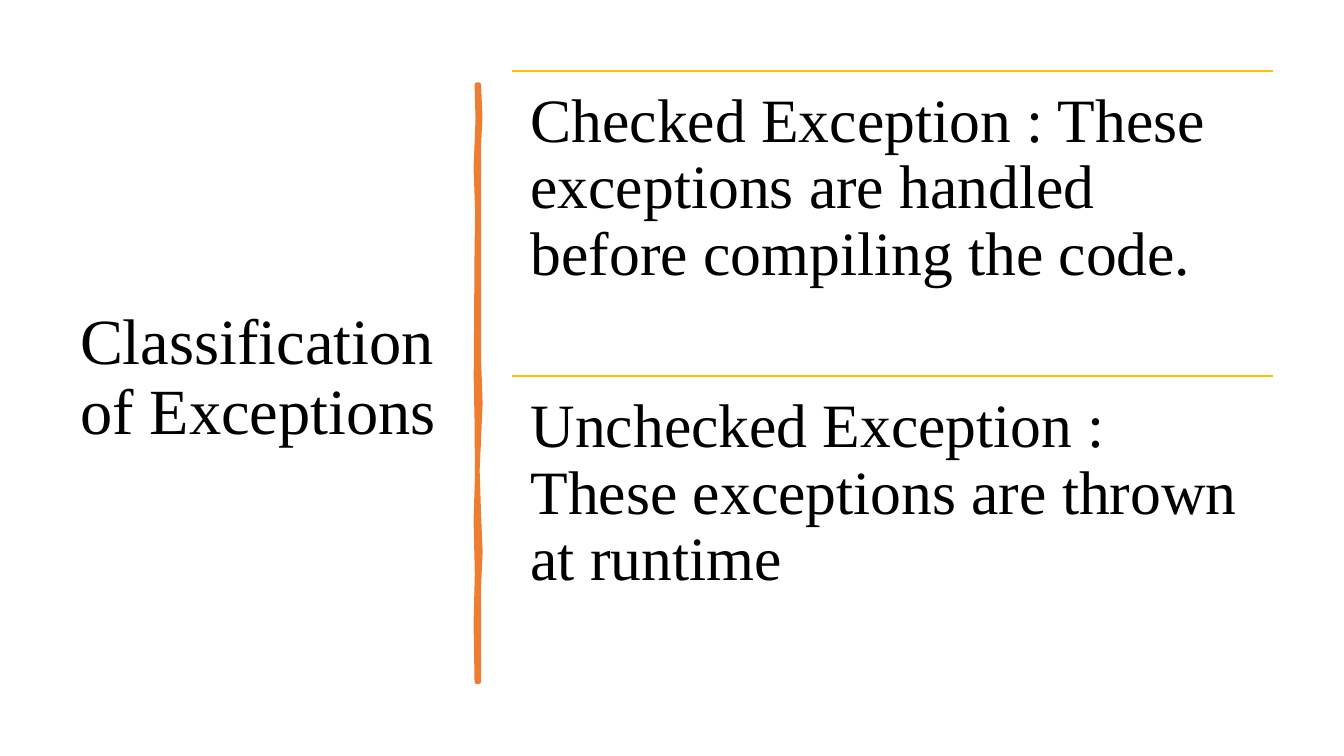
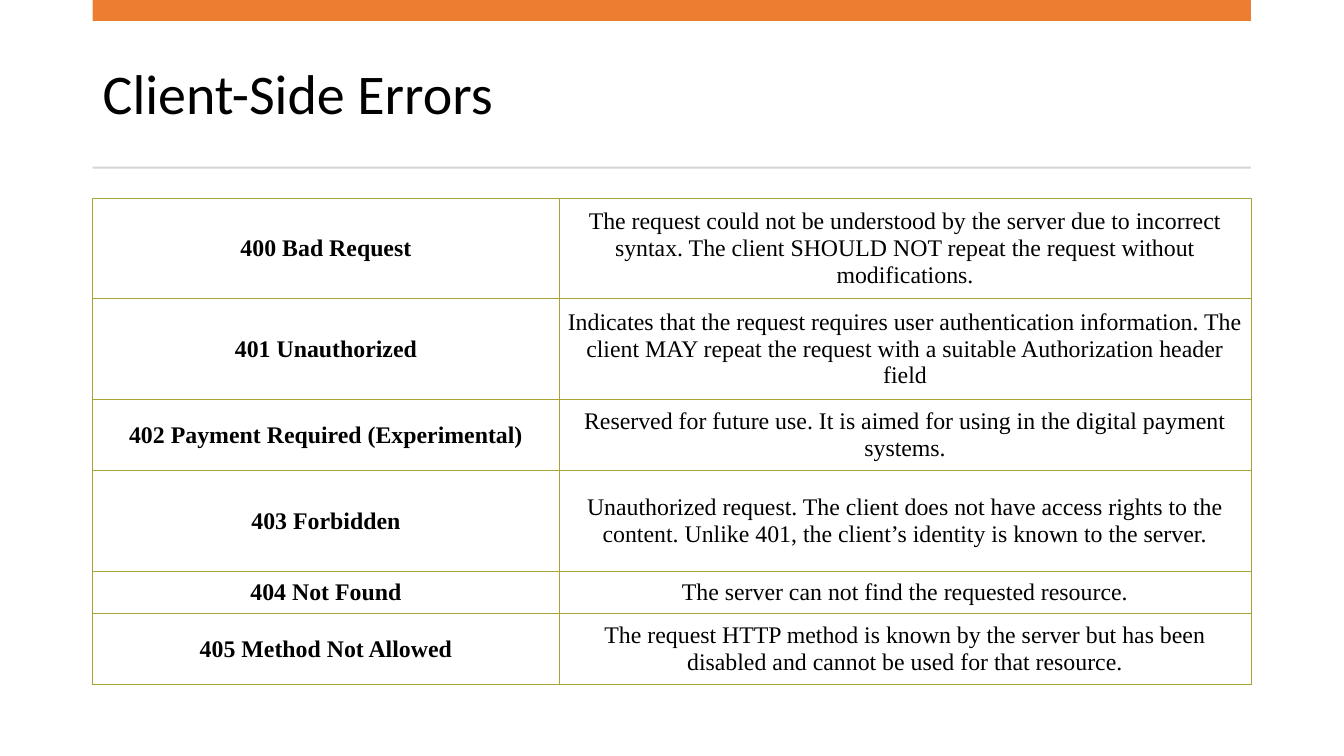
from dataclasses import dataclass

from lxml import etree
from pptx import Presentation
from pptx.dml.color import RGBColor
from pptx.enum import shapes, text
from pptx.oxml import ns
from pptx.util import Pt


@dataclass(frozen=True)
class Theme:
    ink: str = "000000"
    paper: str = "FFFFFF"
    accent: str = "ED7D31"
    gold: str = "FFC000"
    olive: str = "A8A434"
    grey: str = "D5D5D5"
    serif: str = "Times New Roman"
    sans: str = "Calibri"
    section_size: float = 46
    title_size: float = 40
    body_size: float = 44
    table_size: float = 17


THEME = Theme()
TWO_CONTENT, TITLE_ONLY = 3, 5

KINDS = [
    "Checked Exception : These exceptions are handled before compiling the code.",
    "Unchecked Exception : These exceptions are thrown at runtime",
]

# status, meaning, row height
ERRORS = [
    ("400 Bad Request",
     "The request could not be understood by the server due to incorrect syntax. "
     "The client SHOULD NOT repeat the request without modifications.", 71.9),
    ("401 Unauthorized",
     "Indicates that the request requires user authentication information. "
     "The client MAY repeat the request with a suitable Authorization header field", 71.9),
    ("402 Payment Required (Experimental)",
     "Reserved for future use. It is aimed for using in the digital payment systems.", 51),
    ("403 Forbidden",
     "Unauthorized request. The client does not have access rights to the content. "
     "Unlike 401, the client’s identity is known to the server.", 71.9),
    ("404 Not Found", "The server can not find the requested resource.", 30),
    ("405 Method Not Allowed",
     "The request HTTP method is known by the server but has been disabled "
     "and cannot be used for that resource.", 51),
]

# Edges of the hand-drawn rule: (y, offset from its centre line)
RIGHT_EDGE = [(60.5, 0.7), (83, 1.7), (105, 0.7), (212, 0.7), (256, 0.7), (288, 1.8),
              (314, 0.7), (336, -0.3), (367, 0.7), (394, 1.8), (420, 0.7), (487, 0.7)]
LEFT_EDGE = [(60.5, -0.7), (85, 0), (120, -1.4), (150, -0.3), (180, -0.7),
             (270, -1.3), (300, -0.7), (340, -0.4), (372, -1.4),
             (410, -0.5), (445, -1.4), (487, -0.7)]


def rgb(value):
    return RGBColor.from_string(value)


def assign(obj, values):
    for name, value in values.items():
        setattr(obj, name, value)


def place(sp, left, top, width, height):
    assign(sp, dict(left=Pt(left), top=Pt(top), width=Pt(width), height=Pt(height)))


def write(tf, words, size, font, bold=False, **paragraph):
    tf.text = words
    p = tf.paragraphs[0]
    assign(p, paragraph)
    assign(p.runs[0].font, dict(size=Pt(size), name=font, bold=bold))
    p.runs[0].font.color.rgb = rgb(THEME.ink)
    return p


def fill_placeholder(sp, box, words, size, font, anchor, inset=None):
    place(sp, *box)
    tf = sp.text_frame
    assign(tf, dict(word_wrap=True, auto_size=text.MSO_AUTO_SIZE.NONE,
                    vertical_anchor=anchor))
    if inset:
        sides = ("margin_left", "margin_top", "margin_right", "margin_bottom")
        assign(tf, dict.fromkeys(sides, Pt(inset)))
    return write(tf, words, size, font, alignment=text.PP_ALIGN.LEFT,
                 line_spacing=0.9, space_before=Pt(0))


def add_title(s, box, words, size, font):
    fill_placeholder(s.shapes.title, box, words, size, font, text.MSO_ANCHOR.MIDDLE)


def add_statement(sp, box, words):
    """Fill a body placeholder with one unbulleted paragraph."""
    p = fill_placeholder(sp, box, words, THEME.body_size, THEME.serif,
                         text.MSO_ANCHOR.TOP, inset=13)
    props = p._p.get_or_add_pPr()
    props.set("marL", "0")
    props.set("indent", "0")
    etree.SubElement(props, ns.qn("a:buNone"))


def paint(sp, color):
    sp.shadow.inherit = False
    sp.fill.solid()
    sp.fill.fore_color.rgb = rgb(color)


def add_bar(s, left, top, width, height, color):
    sp = s.shapes.add_shape(shapes.MSO_SHAPE.RECTANGLE,
                            Pt(left), Pt(top), Pt(width), Pt(height))
    paint(sp, color)
    sp.line.fill.background()


def add_rule(s, left, top, width):
    line = s.shapes.add_connector(shapes.MSO_CONNECTOR.STRAIGHT,
                                  Pt(left), Pt(top), Pt(left + width), Pt(top))
    line.line.color.rgb = rgb(THEME.gold)
    line.line.width = Pt(1)
    etree.SubElement(line._element.spPr, ns.qn("a:effectLst"))


def add_sketched_rule(s, center):
    outline = [(Pt(center + x), Pt(y)) for y, x in RIGHT_EDGE + LEFT_EDGE[::-1]]
    builder = s.shapes.build_freeform(*outline[0])
    builder.add_line_segments(outline[1:], close=True)
    sp = builder.convert_to_shape()
    paint(sp, THEME.accent)
    sp.line.color.rgb = rgb(THEME.accent)
    sp.line.width = Pt(3.25)


def border_cell(cell, color, width):
    props = cell._tc.get_or_add_tcPr()
    for i, side in enumerate(("lnL", "lnR", "lnT", "lnB")):
        ln = etree.Element(ns.qn(f"a:{side}"), w=str(Pt(width)))
        fill = etree.SubElement(ln, ns.qn("a:solidFill"))
        etree.SubElement(fill, ns.qn("a:srgbClr"), val=color)
        props.insert(i, ln)


def add_error_table(s, left, top, widths):
    height = sum(row[-1] for row in ERRORS)
    table = s.shapes.add_table(len(ERRORS), len(widths), Pt(left), Pt(top),
                               Pt(sum(widths)), Pt(height)).table
    assign(table, dict(first_row=False, horz_banding=False))
    for column, width in zip(table.columns, widths):
        column.width = Pt(width)
    cell_format = dict(margin_left=Pt(4.4), margin_right=Pt(4.4), margin_top=Pt(2.2),
                       margin_bottom=Pt(2.2), vertical_anchor=text.MSO_ANCHOR.MIDDLE)
    for row, (*entries, row_height) in zip(table.rows, ERRORS):
        row.height = Pt(row_height)
        for i, (cell, words) in enumerate(zip(row.cells, entries)):
            assign(cell, cell_format)
            cell.fill.solid()
            cell.fill.fore_color.rgb = rgb(THEME.paper)
            border_cell(cell, THEME.olive, 0.5)
            write(cell.text_frame, words, THEME.table_size, THEME.serif,
                  bold=i == 0, alignment=text.PP_ALIGN.CENTER)


def build_classification(prs):
    s = prs.slides.add_slide(prs.slide_layouts[TWO_CONTENT])
    add_title(s, (50, 50.4, 269.3, 440), "Classification of Exceptions",
              THEME.section_size, THEME.serif)
    add_sketched_rule(s, 341.3)
    left, top, width, height = 366, 50.6, 543.6, 218
    bodies = list(s.placeholders)[1:]
    for i, (sp, words) in enumerate(zip(bodies, KINDS)):
        y = top + i * height
        add_rule(s, left, y, width)
        add_statement(sp, (left, y, width, height), words)


def build_client_errors(prs):
    s = prs.slides.add_slide(prs.slide_layouts[TITLE_ONLY])
    left, width = 66.2, 827.3
    add_title(s, (left, 26.6, width, 85), "Client-Side Errors",
              THEME.title_size, THEME.sans)
    add_bar(s, left, 0, width, 15, THEME.accent)
    add_bar(s, left, 119, width, 1.4, THEME.grey)
    add_error_table(s, left, 141.5, (333.3, 494))


def main():
    prs = Presentation()
    assign(prs, dict(slide_width=Pt(960), slide_height=Pt(540)))
    build_classification(prs)
    build_client_errors(prs)
    prs.save("out.pptx")


if __name__ == "__main__":
    main()
